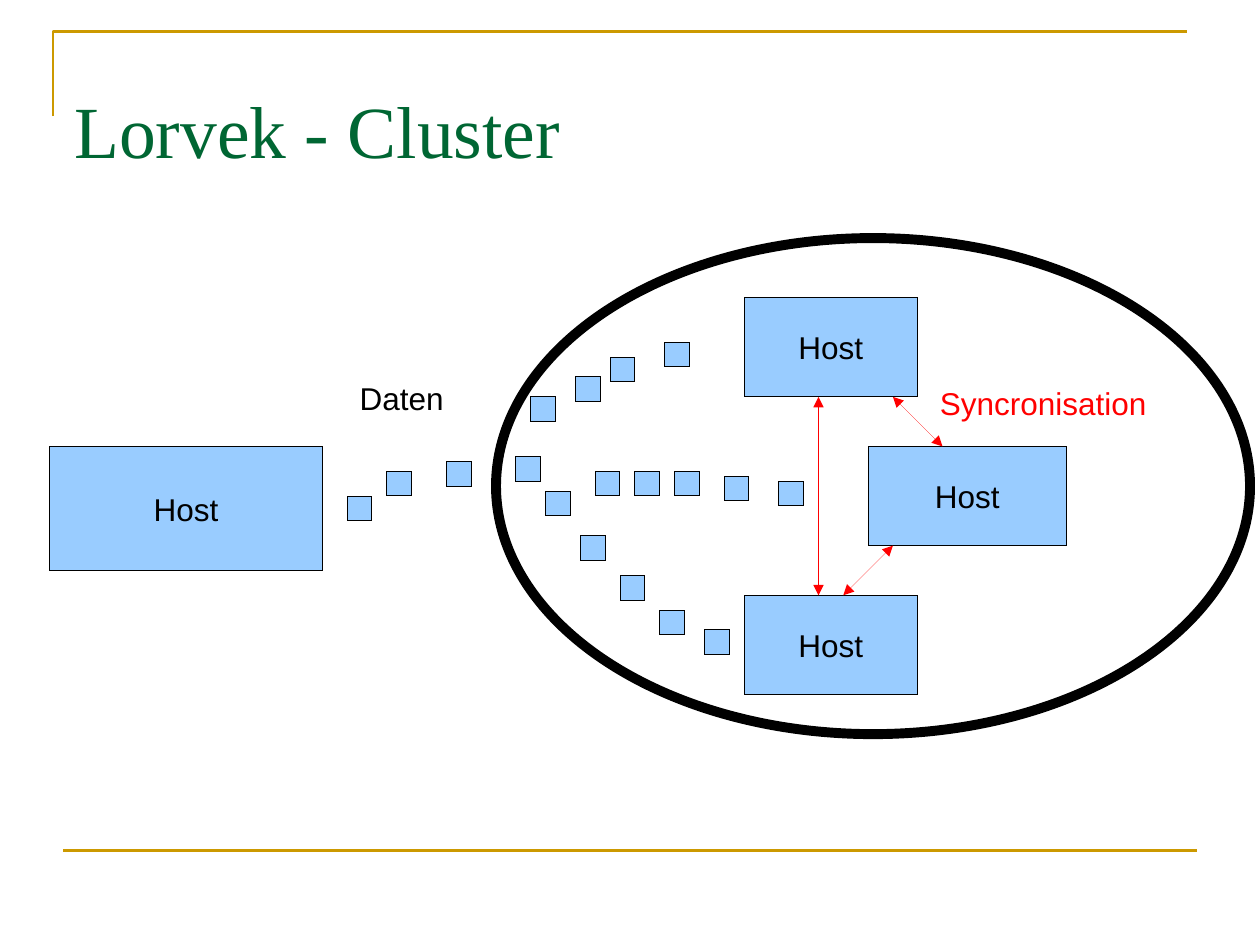
from collections import namedtuple
from dataclasses import dataclass

from lxml import etree
from pptx import Presentation
from pptx.dml.color import RGBColor
from pptx.enum.shapes import MSO_CONNECTOR, MSO_SHAPE
from pptx.enum.text import MSO_ANCHOR, MSO_AUTO_SIZE, PP_ALIGN
from pptx.oxml.ns import qn
from pptx.util import Cm, Pt

RECTANGLE, OVAL = MSO_SHAPE.RECTANGLE, MSO_SHAPE.OVAL
STRAIGHT = MSO_CONNECTOR.STRAIGHT
LEFT, CENTER = PP_ALIGN.LEFT, PP_ALIGN.CENTER
TOP, MIDDLE = MSO_ANCHOR.TOP, MSO_ANCHOR.MIDDLE
TITLE_ONLY = 5

# All lengths are centimetres
Box = namedtuple("Box", "left top width height")


@dataclass(frozen=True)
class Theme:
    title: RGBColor = RGBColor(0x00, 0x66, 0x33)
    frame: RGBColor = RGBColor(0xCC, 0x99, 0x00)
    node: RGBColor = RGBColor(0x99, 0xCC, 0xFF)
    ink: RGBColor = RGBColor(0x00, 0x00, 0x00)
    sync: RGBColor = RGBColor(0xFF, 0x00, 0x00)
    title_font: str = "Times New Roman"
    body_font: str = "Arial"
    title_size: int = 42
    body_size: int = 18
    hairline: float = 0.01  # a width of 0 would fall back to the style's line
    frame_line: float = 1.5
    cluster_line: float = 5.67


THEME = Theme()
PACKET_SIZE = 0.5
# Offsets of the packets inside the stream box, one row per path
PACKET_PATHS = (
    ((0, 3.1), (0.8, 2.6), (2, 2.4), (3.4, 2.3)),
    ((3.7, 1.1), (4.6, 0.7), (5.3, 0.3), (6.4, 0)),
    ((5, 2.6), (5.8, 2.6), (6.6, 2.6), (7.6, 2.7), (8.7, 2.8)),
    ((4, 3), (4.7, 3.9), (5.5, 4.7), (6.3, 5.4), (7.2, 5.8)),
)
# Boxes of the hosts and end points of the sync arrows inside the cluster box
CLUSTER_HOSTS = (Box(5, 1.2, 3.5, 2), Box(7.5, 4.2, 4, 2), Box(5, 7.2, 3.5, 2))
SYNC_ARROWS = (((6.5, 3.2), (6.5, 7.2)),
               ((7, 7.2), (8, 6.2)),
               ((9, 4.2), (8, 3.2)))


def inside(box, part):
    return Box(box.left + part.left, box.top + part.top, part.width, part.height)


def emu(lengths):
    return [Cm(length) for length in lengths]


def apply_format(target, formats):
    for attribute, value in formats.items():
        setattr(target, attribute, value)


def write(frame, text, color, align=LEFT, font=THEME.body_font, size=THEME.body_size):
    frame.text = text
    paragraph = frame.paragraphs[0]
    paragraph.alignment = align
    apply_format(paragraph.font, {"name": font, "size": Pt(size)})
    paragraph.font.color.rgb = color


def set_line(shape, color, width):
    shape.line.color.rgb = color
    shape.line.width = Pt(width)


def add_node(slide, kind, box, fill=THEME.node, line_width=THEME.hairline):
    node = slide.shapes.add_shape(kind, *emu(box))
    node.shadow.inherit = False
    if fill is None:
        node.fill.background()
    else:
        node.fill.solid()
        node.fill.fore_color.rgb = fill
    set_line(node, THEME.ink, line_width)
    return node


def add_host(slide, box):
    frame = add_node(slide, RECTANGLE, box).text_frame
    frame.vertical_anchor = MIDDLE
    write(frame, "Host", THEME.ink, CENTER)


def add_label(slide, box, text, color):
    frame = slide.shapes.add_textbox(*emu(box)).text_frame
    apply_format(frame, {"word_wrap": False, "vertical_anchor": TOP})
    write(frame, text, color)


def add_line(slide, start, end, color, width, arrows=False):
    line = slide.shapes.add_connector(STRAIGHT, *emu((*start, *end)))
    set_line(line, color, width)
    if arrows:
        outline = line.line._get_or_add_ln()
        for tag in ("a:headEnd", "a:tailEnd"):
            etree.SubElement(outline, qn(tag), type="triangle")
    etree.SubElement(line._element.spPr, qn("a:effectLst"))


def add_frame(slide, box):
    """Draw the corner rule at the top left and the rule at the foot."""
    right, bottom = box.left + box.width, box.top + box.height
    outline = slide.shapes.build_freeform(
        Cm(box.left), Cm(box.top + 1.7), scale=1.0)
    outline.add_line_segments(
        [emu((box.left, box.top)), emu((right, box.top))], close=False)
    corner = outline.convert_to_shape()
    corner.shadow.inherit = False
    corner.fill.background()
    set_line(corner, THEME.frame, THEME.frame_line)
    add_line(slide, (box.left + 0.2, bottom), (right + 0.2, bottom),
             THEME.frame, THEME.frame_line)


def add_title(slide, box):
    title = slide.shapes.title
    apply_format(title, dict(zip(box._fields, emu(box))))
    frame = title.text_frame
    apply_format(frame, {
        "margin_left": 0, "margin_right": 0, "margin_top": 0, "margin_bottom": 0,
        "vertical_anchor": MIDDLE, "word_wrap": True,
        "auto_size": MSO_AUTO_SIZE.NONE,
    })
    write(frame, "Lorvek - Cluster", THEME.title,
          font=THEME.title_font, size=THEME.title_size)


def add_data_stream(slide, box):
    for path in PACKET_PATHS:
        for left, top in path:
            packet = Box(left, top, PACKET_SIZE, PACKET_SIZE)
            add_node(slide, RECTANGLE, inside(box, packet))
    add_label(slide, inside(box, Box(0, 0.62, 2.4, 1)), "Daten", THEME.ink)


def add_cluster(slide, box):
    for host in CLUSTER_HOSTS:
        add_host(slide, inside(box, host))
    add_node(slide, OVAL, box, fill=None, line_width=THEME.cluster_line)
    for ends in SYNC_ARROWS:
        start, end = ((box.left + x, box.top + y) for x, y in ends)
        add_line(slide, start, end, THEME.sync, THEME.hairline, arrows=True)
    add_label(slide, inside(box, Box(8.7, 2.82, 5.1, 1)),
              "Syncronisation", THEME.sync)


def main():
    deck = Presentation()
    deck.slide_width, deck.slide_height = emu((25.4, 19.05))
    slide = deck.slides.add_slide(deck.slide_layouts[TITLE_ONLY])
    add_frame(slide, Box(1.07, 0.64, 22.86, 16.51))
    add_title(slide, Box(1.5, 0.69, 22.86, 3.81))
    add_host(slide, Box(1, 9, 5.5, 2.5))
    add_data_stream(slide, Box(7, 6.9, 9.2, 6.3))
    add_cluster(slide, Box(10, 4.8, 15.2, 10))
    deck.save("out.pptx")


if __name__ == "__main__":
    main()
